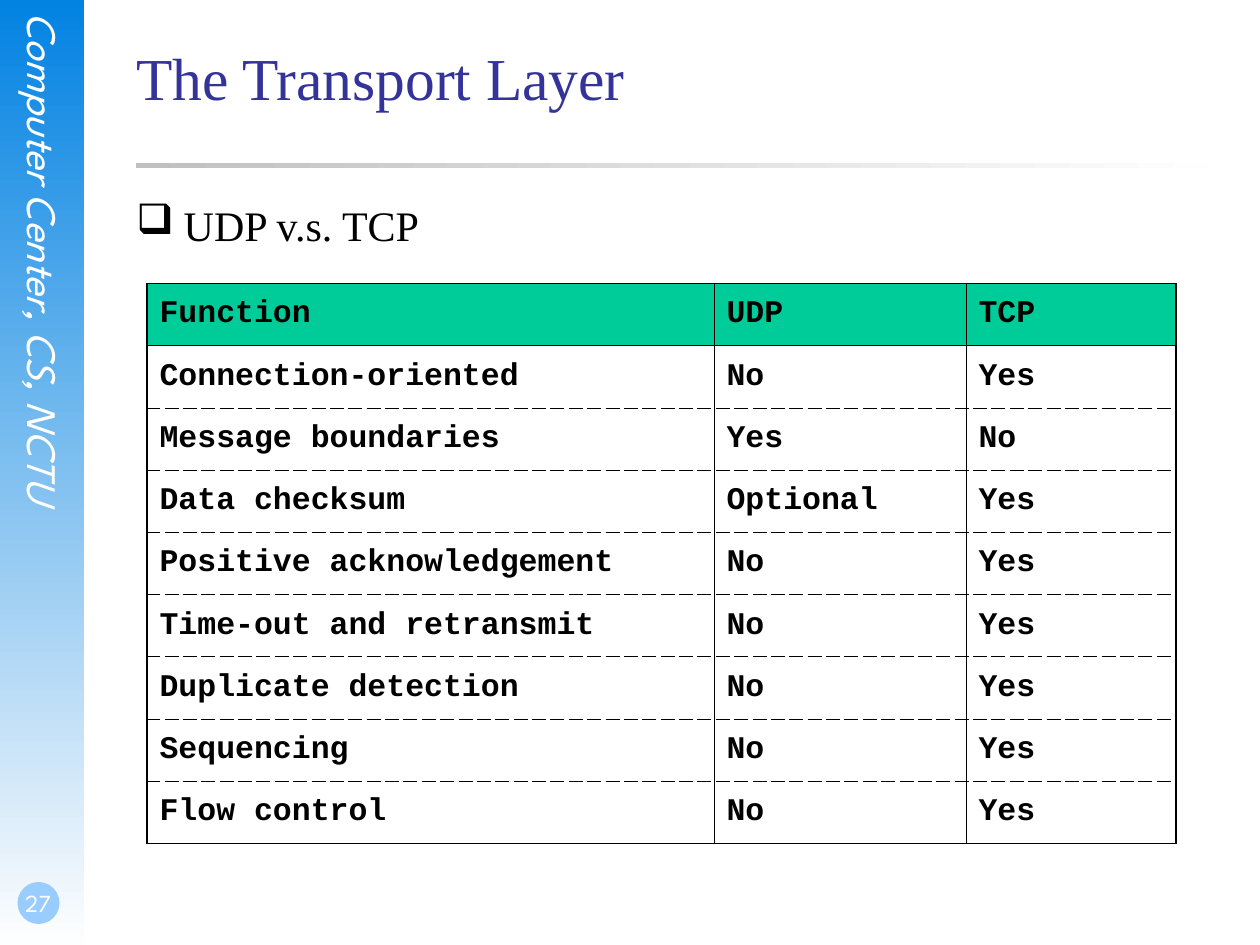
from lxml.etree import SubElement
from pptx import Presentation
from pptx.dml.color import RGBColor
from pptx.enum.shapes import MSO_SHAPE
from pptx.enum.text import MSO_ANCHOR, PP_ALIGN
from pptx.oxml.ns import qn
from pptx.util import Pt

COLORS = {
    "sky": "0282E2", "white": "FFFFFF", "fade": "FEFEFE", "badge": "99CCFF",
    "silver": "C0C0C0", "title": "333399", "ink": "000000", "header": "00CC99",
}
SERIF, MONO, SIDEBAR = "Times New Roman", "Courier New", "League Spartan"

FEATURES = [
    ("Function", "UDP", "TCP"),
    ("Connection-oriented", "No", "Yes"),
    ("Message boundaries", "Yes", "No"),
    ("Data checksum", "Optional", "Yes"),
    ("Positive acknowledgement", "No", "Yes"),
    ("Time-out and retransmit", "No", "Yes"),
    ("Duplicate detection", "No", "Yes"),
    ("Sequencing", "No", "Yes"),
    ("Flow control", "No", "Yes"),
]
THICK, THIN = 1.08, 0.45


def rgb(color):
    return RGBColor.from_string(COLORS[color])


def write(frame, text, *, font, size, color="ink", bold=False, italic=False,
          align=PP_ALIGN.LEFT, bullet=None, indent=0):
    paragraph = frame.paragraphs[0]
    paragraph.text = text
    paragraph.alignment = align
    if bullet:
        properties = paragraph._p.get_or_add_pPr()
        properties.set("marL", str(Pt(indent)))
        properties.set("indent", str(-Pt(indent)))
        tint = SubElement(properties, qn("a:buClr"))
        SubElement(tint, qn("a:srgbClr"), val=COLORS[color])
        SubElement(properties, qn("a:buChar"), char=bullet)
    style = paragraph.runs[0].font
    style.name, style.size = font, Pt(size)
    style.bold, style.italic = bold, italic
    style.color.rgb = rgb(color)


def draw_border(cell, side, width, dashed):
    """Add one cell edge; side is L, R, T or B. Call before filling the cell."""
    line = SubElement(cell._tc.get_or_add_tcPr(), qn(f"a:ln{side}"), w=str(Pt(width)))
    fill = SubElement(line, qn("a:solidFill"))
    SubElement(fill, qn("a:srgbClr"), val=COLORS["ink"])
    SubElement(line, qn("a:prstDash"), val="dash" if dashed else "solid")


class SlideBuilder:
    def __init__(self, slide):
        self.slide = slide

    def shape(self, kind, box, fill):
        """Draw a borderless preset; fill is a color or (start, end, angle)."""
        item = self.slide.shapes.add_shape(kind, *map(Pt, box))
        item.shadow.inherit = False
        item.line.fill.background()
        if isinstance(fill, str):
            item.fill.solid()
            item.fill.fore_color.rgb = rgb(fill)
            return
        *ends, angle = fill
        item.fill.gradient()
        item.fill.gradient_angle = angle
        for stop, color in zip(item.fill.gradient_stops, ends):
            stop.color.rgb = rgb(color)

    def text(self, box, text, *, insets=(0, 0, 0, 0), anchor=MSO_ANCHOR.TOP,
             vertical=False, **style):
        item = self.slide.shapes.add_textbox(*map(Pt, box))
        frame = item.text_frame
        frame.word_wrap = True
        frame.vertical_anchor = anchor
        (frame.margin_left, frame.margin_top,
         frame.margin_right, frame.margin_bottom) = map(Pt, insets)
        if vertical:
            item.element.txBody.bodyPr.set("vert", "eaVert")
        write(frame, text, **style)

    def table(self, left, top, widths, row_height, rows):
        table = self.slide.shapes.add_table(
            len(rows), len(widths), Pt(left), Pt(top),
            Pt(sum(widths)), Pt(row_height * len(rows))).table
        table.first_row = table.horz_banding = False
        for column, width in zip(table.columns, widths):
            column.width = Pt(width)
        last_row, last_column = len(rows) - 1, len(widths) - 1
        for r, row in enumerate(rows):
            table.rows[r].height = Pt(row_height)
            for c, value in enumerate(row):
                cell = table.cell(r, c)
                cell.vertical_anchor = MSO_ANCHOR.MIDDLE
                write(cell.text_frame, value, font=MONO, size=18, bold=True)
                draw_border(cell, "L", THICK if c == 0 else THIN, False)
                draw_border(cell, "R", THICK if c == last_column else THIN, False)
                draw_border(cell, "T", THICK if r == 0 else THIN, r > 1)
                draw_border(cell, "B", THICK if r == last_row else THIN, 0 < r < last_row)
                if r == 0:
                    cell.fill.solid()
                    cell.fill.fore_color.rgb = rgb("header")
                else:
                    cell.fill.background()


def main():
    deck = Presentation()
    deck.slide_width, deck.slide_height = Pt(720), Pt(540)
    page = SlideBuilder(deck.slides.add_slide(deck.slide_layouts[6]))

    page.shape(MSO_SHAPE.RECTANGLE, (0, 0, 48, 540), ("sky", "fade", 270))
    page.text((10.8, 7.2, 28.8, 368), "Computer Center, CS, NCTU", vertical=True,
              font=SIDEBAR, size=24, color="white", italic=True, align=PP_ALIGN.CENTER)
    page.shape(MSO_SHAPE.OVAL, (10, 504, 24, 24), "badge")
    page.text((0, 492, 42, 36), "27", insets=(1.44, 0, 0, 3.6), anchor=MSO_ANCHOR.BOTTOM,
              font=SIDEBAR, size=14, color="white", align=PP_ALIGN.CENTER)

    page.shape(MSO_SHAPE.RECTANGLE, (78, 93, 612, 3), ("fade", "silver", 180))
    page.text((78, 20, 612, 90), "The Transport Layer", insets=(0, 3.5, 0, 0),
              font=SERIF, size=34, color="title")
    page.text((78, 114, 612, 366), "UDP v.s. TCP", font=SERIF, size=24,
              bullet="❑", indent=27)
    page.table(84, 162, (324, 144, 120), 35.55, FEATURES)
    deck.save("out.pptx")


if __name__ == "__main__":
    main()
